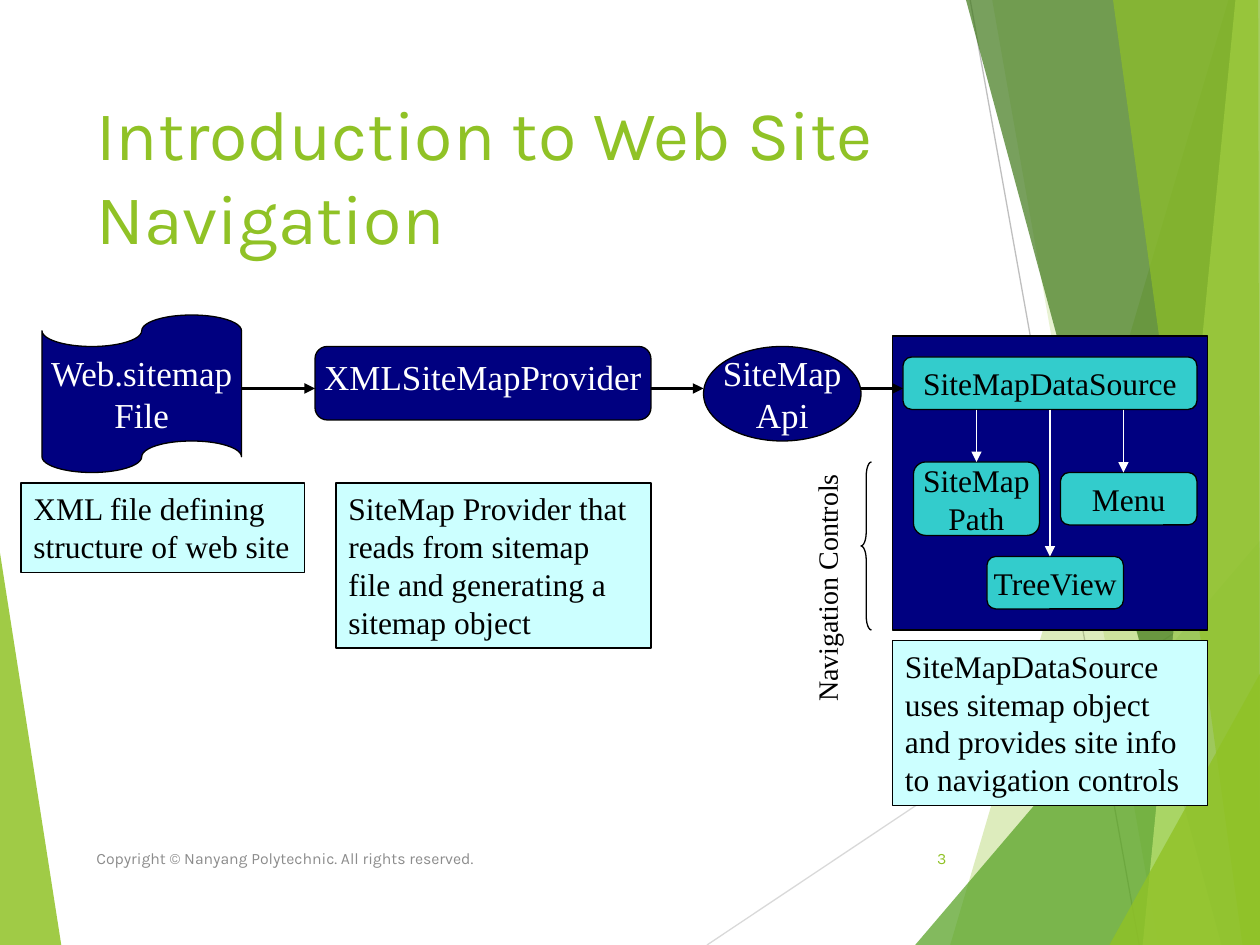
from lxml import etree
from pptx import Presentation
from pptx.dml.color import RGBColor
from pptx.enum.shapes import MSO_CONNECTOR, MSO_SHAPE
from pptx.enum.text import MSO_ANCHOR, PP_ALIGN
from pptx.oxml.ns import qn
from pptx.util import Pt

STRAIGHT = MSO_CONNECTOR.STRAIGHT
RECT, ROUND = MSO_SHAPE.RECTANGLE, MSO_SHAPE.ROUNDED_RECTANGLE
TAPE, OVAL, BRACE = MSO_SHAPE.WAVE, MSO_SHAPE.OVAL, MSO_SHAPE.LEFT_BRACE
TAPE = MSO_SHAPE.FLOWCHART_PUNCHED_TAPE
TOP, MIDDLE = MSO_ANCHOR.TOP, MSO_ANCHOR.MIDDLE
LEFT, CENTER, RIGHT = PP_ALIGN.LEFT, PP_ALIGN.CENTER, PP_ALIGN.RIGHT

SERIF, SANS = "Times New Roman", "Karla"
BLACK, WHITE, NAVY = "000000", "FFFFFF", "000080"
TEAL, PALE, GREEN = "33CCCC", "CCFFFF", "90C226"

# Background facets: colour, opacity in percent, corner points
FACETS = [
    (GREEN, 85, [(0, 316), (35.3, 540), (0, 540)]),
    (GREEN, 30, [(702, 0), (543, 540), (720, 540), (720, 0)]),
    (GREEN, 20, [(567, 0), (662, 540), (720, 540), (720, 0)]),
    ("54A021", 72, [(523, 540), (720, 309), (720, 540)]),
    ("3F7819", 70, [(552, 0), (698, 540), (720, 540), (720, 0)]),
    ("C0E474", 70, [(706, 0), (653, 540), (720, 540), (720, 0)]),
    (GREEN, 65, [(636, 0), (710, 540), (720, 540), (719, 0)]),
    (GREEN, 80, [(634, 540), (720, 385), (720, 540)]),
]


def rgb(value):
    return RGBColor.from_string(value)


def write(sp, text, size, color, font=SERIF, align=CENTER, anchor=MIDDLE, wrap=False):
    tf = sp.text_frame
    tf.text = text
    tf.word_wrap = wrap
    tf.vertical_anchor = anchor
    for p in tf.paragraphs:
        p.alignment = align
        for r in p.runs:
            r.font.size = Pt(size)
            r.font.name = font
            r.font.color.rgb = rgb(color)


def add_facet(s, color, opacity, points):
    builder = s.shapes.build_freeform(*points[0], scale=Pt(1))
    builder.add_line_segments(points[1:], close=True)
    sp = builder.convert_to_shape()
    sp.shadow.inherit = False
    sp.line.fill.background()
    sp.fill.solid()
    sp.fill.fore_color.rgb = rgb(color)
    clr = sp.fill._xPr.find(qn("a:solidFill"))[0]
    etree.SubElement(clr, qn("a:alpha")).set("val", str(opacity * 1000))


def add_box(s, kind, box, fill=None):
    sp = s.shapes.add_shape(kind, *map(Pt, box))
    sp.shadow.inherit = False
    sp.line.color.rgb = rgb(BLACK)
    sp.line.width = Pt(0.75)
    if fill:
        sp.fill.solid()
        sp.fill.fore_color.rgb = rgb(fill)
    else:
        sp.fill.background()
    return sp


def add_node(s, kind, box, fill, text, size, color):
    sp = add_box(s, kind, box, fill)
    write(sp, text, size, color)
    return sp


def add_note(s, box, text):
    sp = add_box(s, RECT, box, PALE)
    write(sp, text, 18, BLACK, align=LEFT, anchor=TOP, wrap=True)


def add_text(s, box, text, size, color, font=SANS, align=LEFT, anchor=MIDDLE):
    sp = s.shapes.add_textbox(*map(Pt, box))
    write(sp, text, size, color, font, align, anchor, wrap=True)
    return sp


def add_line(s, x1, y1, x2, y2, color, width=0.75, arrow=True):
    line = s.shapes.add_connector(STRAIGHT, *map(Pt, (x1, y1, x2, y2)))
    line.line.color.rgb = rgb(color)
    line.line.width = Pt(width)
    if arrow:
        ln = line.line._get_or_add_ln()
        etree.SubElement(ln, qn("a:tailEnd")).set("type", "triangle")
    etree.SubElement(line._element.spPr, qn("a:effectLst"))
    return line


def add_background(s):
    add_line(s, 404, 540, 720, 329, "D9D9D9", arrow=False)
    add_line(s, 554.4, 0, 651, 540, "BFBFBF", arrow=False)
    for facet in FACETS:
        add_facet(s, *facet)


def add_flow(s):
    add_node(s, TAPE, (24, 180, 114, 90), NAVY, "Web.sitemap\nFile", 20, WHITE)
    provider = add_node(s, ROUND, (180, 198, 192, 42), NAVY, "XMLSiteMapProvider", 20, WHITE)
    provider.text_frame.margin_bottom = Pt(11)
    add_node(s, OVAL, (402, 198, 90, 54), NAVY, "SiteMap\nApi", 20, WHITE)
    add_box(s, RECT, (510, 192, 180, 168), NAVY)
    source = add_node(s, ROUND, (516, 204, 168, 30), TEAL, "SiteMapDataSource", 18, BLACK)
    for x1, x2 in [(138, 180), (372, 402), (492, 516)]:
        add_line(s, x1, 222, x2, 222, BLACK, 2)

    # Navigation controls fed by the data source
    add_node(s, ROUND, (564, 318, 78, 30), TEAL, "TreeView", 18, BLACK)
    add_node(s, ROUND, (606, 270, 78, 30), TEAL, "Menu", 18, BLACK)
    site_path = add_node(s, ROUND, (522, 264, 72, 42), TEAL, "SiteMap\nPath", 18, BLACK)
    to_path, to_tree, _ = [add_line(s, x, 234, x, y, WHITE)
                           for x, y in [(558, 264), (600, 318), (642, 270)]]
    to_path.end_connect(site_path, 0)
    to_tree.begin_connect(source, 2)


def add_notes(s):
    add_note(s, (12, 276, 162, 51), "XML file defining structure of web site")
    add_note(s, (192, 276, 180, 94.3),
             "SiteMap Provider that reads from sitemap file and generating a sitemap object")
    add_note(s, (510, 366, 180, 94.3),
             "SiteMapDataSource uses sitemap object and provides site info "
             "to navigation controls")
    brace = add_box(s, BRACE, (492, 264, 6, 96))
    brace.adjustments[0] = 1.33
    label = add_text(s, (397.5, 319.7, 150, 26.6), "Navigation Controls", 16, BLACK,
                     SERIF, anchor=TOP)
    label.rotation = 270


def main():
    prs = Presentation()
    prs.slide_width, prs.slide_height = Pt(720), Pt(540)
    s = prs.slides.add_slide(prs.slide_layouts[6])
    add_background(s)

    # Title and footer
    add_text(s, (48, 48, 500, 104), "Introduction to Web Site Navigation", 40, GREEN, anchor=TOP)
    add_text(s, (48, 476, 364, 28.8),
             "Copyright © Nanyang Polytechnic. All rights reserved.", 9, "8C8C8C")
    add_text(s, (507.6, 476, 40.3, 28.8), "3", 9, GREEN, align=RIGHT)

    add_flow(s)
    add_notes(s)
    prs.save("out.pptx")


if __name__ == "__main__":
    main()
